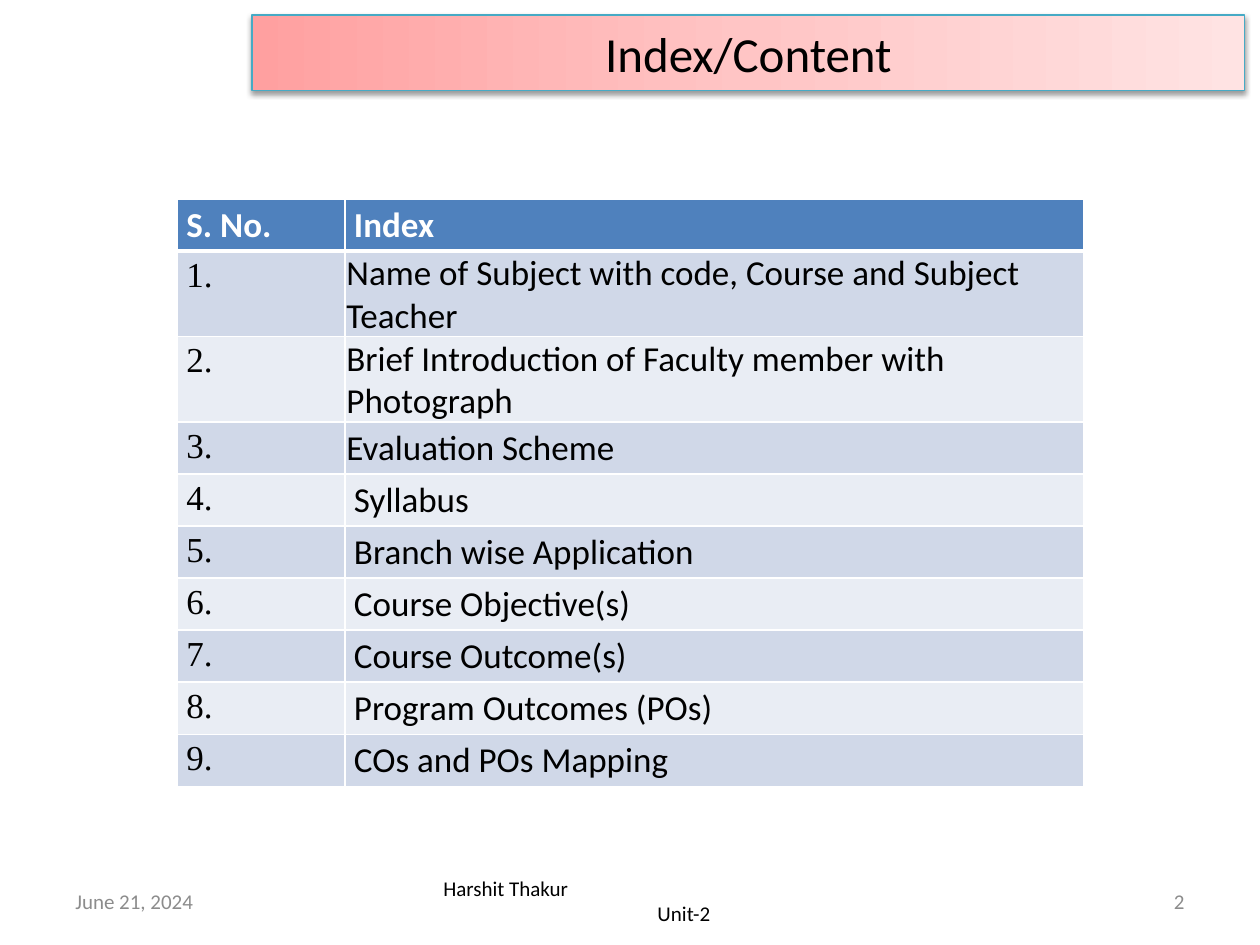
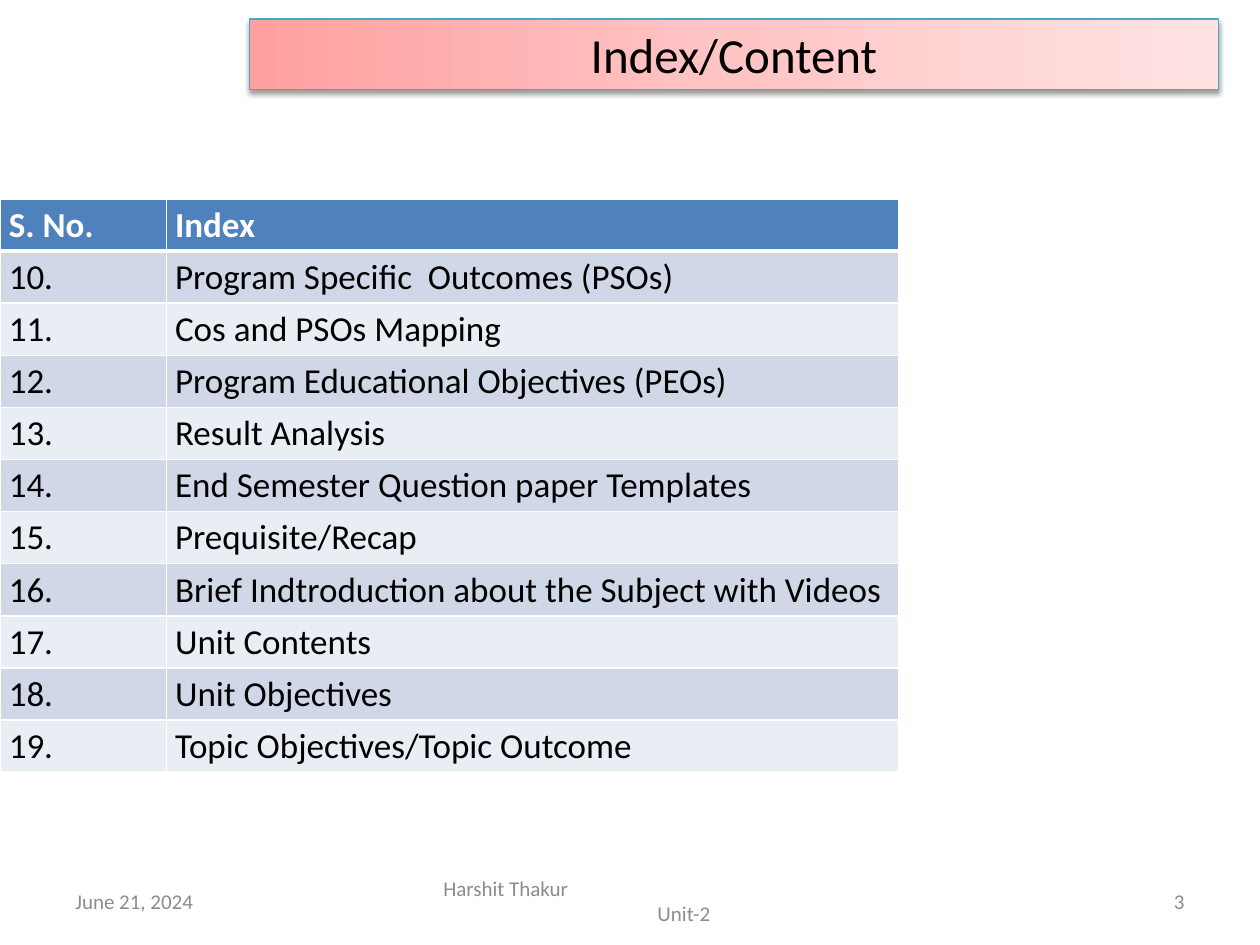
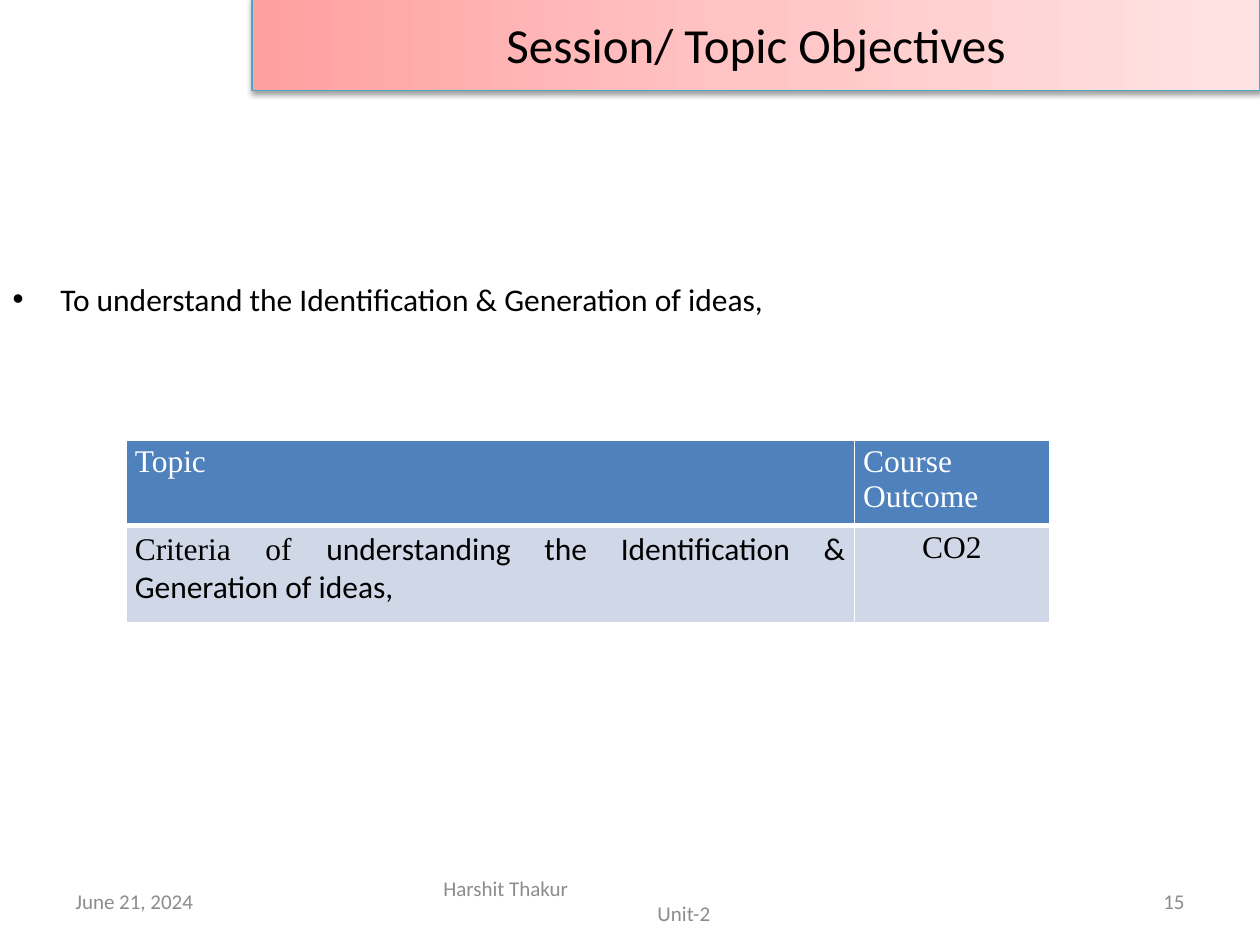
import copy

import pptx
import pptx.dml.color
import pptx.enum.text
import pptx.oxml
import pptx.oxml.ns
import pptx.util
from pptx.util import Inches

COLORS = {
    "text": "000000", "muted": "8C8C8C", "white": "FFFFFF",
    "header": "4F81BD", "odd_row": "D0D8E8", "even_row": "E9EDF4",
    "title_line": "46AAC5", "title_start": "FFA0A0",
    "title_middle": "FFC5C5", "title_end": "FFE3E3",
}
SANS, SERIF = "Calibri", "Times New Roman"
ALIGN = pptx.enum.text.PP_ALIGN
MIDDLE = pptx.enum.text.MSO_ANCHOR.MIDDLE
TITLE_ONLY, TITLE_AND_CONTENT = 5, 1


def rgb(name):
    return pptx.dml.color.RGBColor.from_string(COLORS[name])


def apply(target, values):
    for name, value in values.items():
        setattr(target, name, value)


def xml(text):
    namespace = pptx.oxml.ns.nsdecls("a")
    return pptx.oxml.parse_xml(text.replace("XMLNS", namespace, 1))


class Deck:
    """Shared style and the slide being filled."""

    def __init__(self):
        self.presentation = pptx.Presentation()
        apply(self.presentation, {"slide_width": Inches(10), "slide_height": Inches(7.5)})
        self.slide = None

    def new_slide(self, layout, number, footer_color="muted"):
        layouts = self.presentation.slide_layouts
        self.slide = self.presentation.slides.add_slide(layouts[layout])
        self.footer(0.5, 2.33, ["June 21, 2024"])
        unit_paragraph = self.footer(3.42, 3.17, ["Harshit Thakur", "Unit-2"], footer_color)
        unit_paragraph._p.get_or_add_pPr().set("marL", str(Inches(1.7)))
        self.footer(7.17, 2.33, [number], align=ALIGN.RIGHT)

    def place(self, shape, left, top, width, height):
        apply(shape, {"left": Inches(left), "top": Inches(top),
                      "width": Inches(width), "height": Inches(height)})

    def run(self, paragraph, text, size, font=SANS, color="text", bold=False):
        run = paragraph.add_run()
        run.text = text
        apply(run.font, {"size": pptx.util.Pt(size), "name": font, "bold": bold})
        run.font.color.rgb = rgb(color)

    def footer(self, left, width, lines, color="muted", align=ALIGN.LEFT):
        box = self.slide.shapes.add_textbox(
            Inches(left), Inches(6.95), Inches(width), Inches(0.4))
        frame = box.text_frame
        apply(frame, {"word_wrap": True, "vertical_anchor": MIDDLE})
        for index, line in enumerate(lines):
            paragraph = frame.add_paragraph() if index else frame.paragraphs[0]
            paragraph.alignment = align
            self.run(paragraph, line, 12, color=color)
        return paragraph

    def title(self, text, *position):
        shape = self.slide.shapes.title
        self.place(shape, *position)
        # Three-stop gradient
        shape.fill.gradient()
        shape.fill.gradient_angle = 0
        properties = shape._element.spPr
        stop_list = properties.find(".//" + pptx.oxml.ns.qn("a:gsLst"))
        stop_list.insert(1, copy.deepcopy(stop_list[0]))
        names = ("title_start", "title_middle", "title_end")
        for index, (stop, name) in enumerate(zip(shape.fill.gradient_stops, names)):
            stop.color.rgb = rgb(name)
            stop.position = index / 2
        # Outline and shadow
        shape.line.color.rgb = rgb("title_line")
        shape.line.width = pptx.util.Pt(0.75)
        properties.append(xml(
            '<a:effectLst XMLNS><a:outerShdw blurRad="40000" dist="20000" dir="5400000" '
            f'rotWithShape="0"><a:srgbClr val="{COLORS["text"]}"><a:alpha val="38000"/>'
            '</a:srgbClr></a:outerShdw></a:effectLst>'))
        shape.text_frame.vertical_anchor = MIDDLE
        paragraph = shape.text_frame.paragraphs[0]
        paragraph.alignment = ALIGN.CENTER
        self.run(paragraph, text, 28)

    def bullet(self, text, *position):
        shape = self.slide.placeholders[1]
        self.place(shape, *position)
        shape.text_frame.auto_size = pptx.enum.text.MSO_AUTO_SIZE.NONE
        paragraph = shape.text_frame.paragraphs[0]
        apply(paragraph, {"alignment": ALIGN.JUSTIFY, "space_before": pptx.util.Pt(0)})
        properties = paragraph._p.get_or_add_pPr()
        properties.set("marL", str(Inches(0.38)))
        properties.set("indent", str(-Inches(0.38)))
        properties.append(xml('<a:buChar XMLNS char="•"/>'))
        self.run(paragraph, text, 18)

    def borders(self, cell, top, bottom):
        widths = {"L": 1, "R": 1, "T": top, "B": bottom}
        for side, width in widths.items():
            cell._tc.get_or_add_tcPr().append(xml(
                f'<a:ln{side} XMLNS w="{pptx.util.Pt(width)}"><a:solidFill>'
                f'<a:srgbClr val="{COLORS["white"]}"/></a:solidFill></a:ln{side}>'))

    def table(self, left, top, columns, heights, rows, size, bold_header=True):
        """Each cell of rows is a list of (text, font) runs."""
        table = self.slide.shapes.add_table(
            len(rows), len(columns), Inches(left), Inches(top),
            Inches(sum(columns)), Inches(sum(heights))).table
        for column, width in zip(table.columns, columns):
            column.width = Inches(width)
        for row_index, (row, height) in enumerate(zip(rows, heights)):
            table.rows[row_index].height = Inches(height)
            header = row_index == 0
            fill = "header" if header else ("even_row", "odd_row")[row_index % 2]
            for column_index, runs in enumerate(row):
                cell = table.cell(row_index, column_index)
                self.borders(cell, 3 if row_index == 1 else 1, 3 if header else 1)
                cell.fill.solid()
                cell.fill.fore_color.rgb = rgb(fill)
                apply(cell, {"margin_left": Inches(0.07), "margin_right": Inches(0.07),
                             "margin_top": Inches(0.04), "margin_bottom": Inches(0.04)})
                for text, font in runs:
                    self.run(cell.text_frame.paragraphs[0], text, size, font,
                             "white" if header else "text", header and bold_header)
        return table

    def index_table(self, left, columns, heights, first_number, topics, number_font):
        rows = [[[("S. No.", SANS)], [("Index", SANS)]]]
        for number, topic in enumerate(topics, first_number):
            rows.append([[(f"{number}.", number_font)], [(topic, SANS)]])
        return self.table(left, 1.58, columns, heights, rows, 20)


def main():
    deck = Deck()

    # Index, first part
    deck.new_slide(TITLE_ONLY, "2", footer_color="text")
    deck.title("Index/Content", 2, 0.12, 7.88, 0.6)
    table = deck.index_table(
        1.41, [1.33, 5.86], [0.33] + [0.63] * 2 + [0.38] * 7, 1, [
            "Name of Subject with code, Course and Subject Teacher",
            "Brief Introduction of Faculty member with Photograph",
            "Evaluation Scheme",
            "Syllabus",
            "Branch wise Application",
            "Course Objective(s)",
            "Course Outcome(s)",
            "Program Outcomes (POs)",
            "COs and POs Mapping",
        ], SERIF)
    for row_index in range(1, 4):
        apply(table.cell(row_index, 1), {
            "margin_left": Inches(0.01), "margin_right": Inches(0.01),
            "margin_top": Inches(0.01), "margin_bottom": 0, "vertical_anchor": MIDDLE})

    # Index, second part
    deck.new_slide(TITLE_ONLY, "3")
    deck.title("Index/Content", 1.98, 0.15, 7.69, 0.56)
    deck.index_table(
        0, [1.32, 5.81], [0.33] + [0.36] * 10, 10, [
            "Program Specific  Outcomes (PSOs)",
            "Cos and PSOs Mapping",
            "Program Educational Objectives (PEOs)",
            "Result Analysis",
            "End Semester Question paper Templates",
            "Prequisite/Recap",
            "Brief Indtroduction about the Subject with Videos",
            "Unit Contents",
            "Unit Objectives",
            "Topic Objectives/Topic Outcome",
        ], SANS)

    # Session objectives
    deck.new_slide(TITLE_AND_CONTENT, "15")
    deck.title("Session/ Topic Objectives", 2, -0.03, 8, 0.75)
    deck.bullet("To understand the Identification & Generation of ideas,",
                0, 2.17, 7.83, 2.58)
    table = deck.table(1, 3.49, [5.78, 1.55], [0.3, 0.77], [
        [[("Topic", SERIF)], [("Course Outcome", SERIF)]],
        [[("Criteria of ", SERIF),
          ("understanding the Identification & Generation of ideas,", SANS)],
         [("CO2", SERIF)]],
    ], 18, bold_header=False)
    for column_index, align in enumerate((ALIGN.JUSTIFY, ALIGN.CENTER)):
        table.cell(1, column_index).text_frame.paragraphs[0].alignment = align

    deck.presentation.save("out.pptx")


if __name__ == "__main__":
    main()
